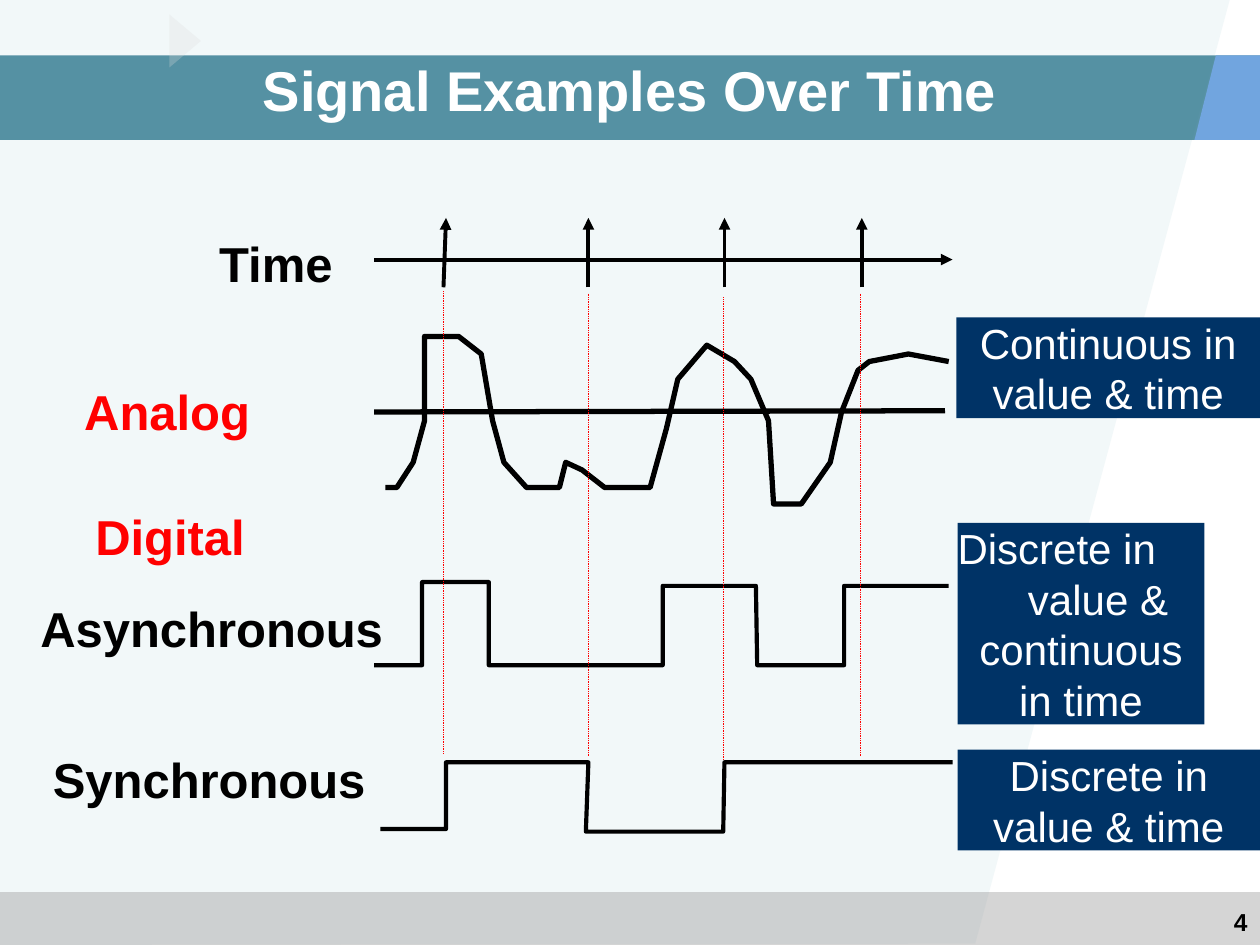
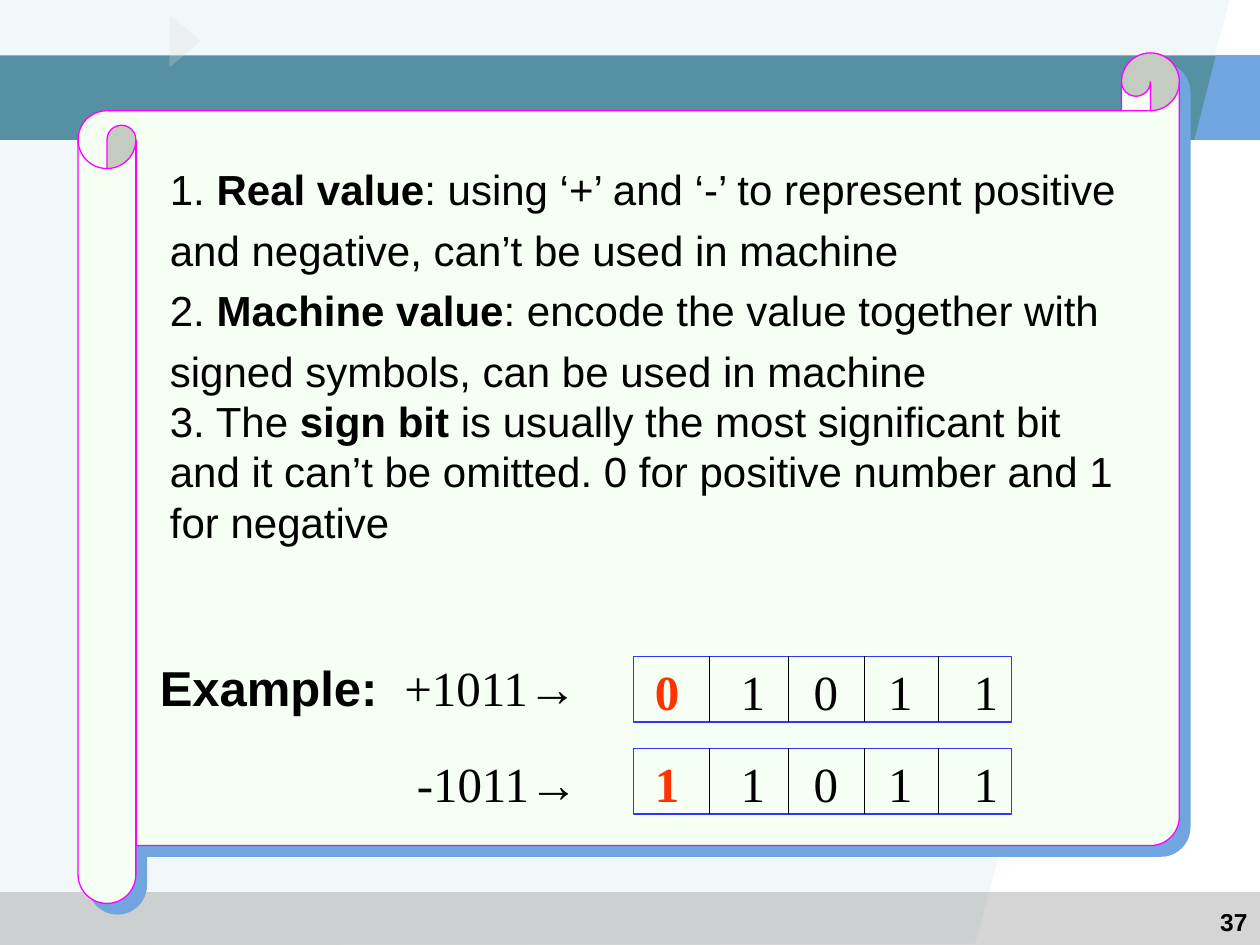
from dataclasses import dataclass

from lxml import etree
from pptx import Presentation
from pptx import util as u
from pptx.dml import color
from pptx.enum import dml, shapes, text
from pptx.oxml import ns

PX = 9144
RECT = shapes.MSO_SHAPE.RECTANGLE
CENTER = text.PP_ALIGN.CENTER


@dataclass(frozen=True)
class Theme:
    sans: str = "Arial"
    serif: str = "Times New Roman"
    black: str = "000000"
    white: str = "FFFFFF"
    red: str = "FF0000"
    sign: str = "FF3300"
    backdrop: str = "9FCAD3"
    footer: str = "969696"
    band: str = "26728A"
    accent: str = "71A5DF"
    marker: str = "DDDDDD"
    note: str = "003366"
    paper: str = "F5FFF3"
    edge: str = "FF00FF"
    frame: str = "3333FF"
    title: int = 32
    label: int = 28
    body: int = 24
    number: int = 14


T = Theme()


def draw(parent, kind, at, fill=None, alpha=None, line=None, width=1, dash=None, arrow=False):
    if kind == "path":
        path = parent.build_freeform(*at[0], scale=PX)
        path.add_line_segments(at[1:], close=fill is not None)
        sp = path.convert_to_shape()
    else:
        box = [v * PX for v in at]
        if kind == "line":
            sp = parent.add_connector(shapes.MSO_CONNECTOR.STRAIGHT, *box)
        elif kind == "text":
            return parent.add_textbox(*box)
        else:
            sp = parent.add_shape(kind, *box)
    if kind != "line":
        sp.shadow.inherit = False
        if fill:
            sp.fill.solid()
            sp.fill.fore_color.rgb = color.RGBColor.from_string(fill)
        else:
            sp.fill.background()
    if alpha:
        tint = sp.element.xpath("./p:spPr/a:solidFill/a:srgbClr")[0]
        etree.SubElement(tint, ns.qn("a:alpha"), val=str(alpha * 1000))
    if line:
        sp.line.color.rgb = color.RGBColor.from_string(line)
        sp.line.width = u.Pt(width)
        if dash:
            sp.line.dash_style = dash
    else:
        sp.line.fill.background()
    if arrow:
        etree.SubElement(sp.element.xpath(".//a:ln")[0], ns.qn("a:tailEnd"), type="triangle")
    if kind == "line":
        etree.SubElement(sp.element.xpath("./p:spPr")[0], ns.qn("a:effectLst"))
    return sp


def write(sp, paras, size, ink=T.black, bold=False, inset=(10, 5), grow=True, **fmt):
    tf = sp.text_frame
    x, y = (v * PX for v in inset)
    frame = {"margin_left": x, "margin_right": x, "margin_top": y, "margin_bottom": y,
             "word_wrap": True,
             "auto_size": text.MSO_AUTO_SIZE.SHAPE_TO_FIT_TEXT if grow else text.MSO_AUTO_SIZE.NONE}
    for key, value in frame.items():
        setattr(tf, key, value)
    for i, para in enumerate(paras):
        p = tf.add_paragraph() if i else tf.paragraphs[0]
        own = {**fmt, **para.get("fmt", {})}
        for key, value in own.items():
            setattr(p, key, value)
        pPr = p._p.get_or_add_pPr()
        if "left" in para:
            pPr.set("marL", str(para["left"] * PX))
            pPr.set("indent", "0")
        if "tabs" in para:
            stops = etree.SubElement(pPr, ns.qn("a:tabLst"))
            for pos in para["tabs"]:
                etree.SubElement(stops, ns.qn("a:tab"), pos=str(pos * PX), algn="l")
        for words, change in para["runs"]:
            r = p.add_run()
            r.text = words
            font = {"size": u.Pt(size), "name": T.sans, "bold": bold, "ink": ink, **change}
            r.font.color.rgb = color.RGBColor.from_string(font.pop("ink"))
            for key, value in font.items():
                setattr(r.font, key, value)


prs = Presentation()
prs.slide_width, prs.slide_height = 1000 * PX, 750 * PX
signals = prs.slides.add_slide(prs.slide_layouts[5])
values = prs.slides.add_slide(prs.slide_layouts[6])

s = signals.shapes
backdrop = [
    draw(s, "path", [(0, 0), (976, 0), (774, 749), (0, 750)], T.backdrop, 13),
    draw(s, RECT, (0, 708, 1000, 42), T.footer, 40),
    draw(s, RECT, (0, 44, 1000, 67), T.band, 77),
    draw(s, "path", [(965, 44), (948, 111), (1000, 111), (1000, 44)], T.accent),
    draw(s, shapes.MSO_SHAPE.ISOSCELES_TRIANGLE, (126, 20, 42, 25), T.marker, 27),
]
backdrop[-1].rotation = 90
for i, sp in enumerate(backdrop):
    sp.element.xpath(".//p:cNvPr")[0].set("id", str(100 + i))
    prs.slide_master.shapes.element.insert(2 + i, sp.element)

for slide, number in ((signals, "4"), (values, "37")):
    write(draw(slide.shapes, "text", (767, 715, 233, 35)), [{"runs": [(number, {})]}],
          T.number, bold=True, grow=False, alignment=text.PP_ALIGN.RIGHT)

title = s.title
for key, value in {"left": 75, "top": 25, "width": 850, "height": 92}.items():
    setattr(title, key, value * PX)
title.text_frame.vertical_anchor = text.MSO_ANCHOR.MIDDLE
write(title, [{"runs": [("Signal Examples Over Time", {})]}], T.title, T.white,
      bold=True, grow=False, alignment=CENTER)

analog = [(306, 387), (315, 387), (328, 367), (337, 334), (337, 267), (364, 267), (382, 281),
          (391, 334), (400, 367), (418, 387), (444, 387), (449, 367), (462, 373), (480, 387),
          (516, 387), (529, 340), (538, 301), (561, 274), (583, 287), (596, 301), (610, 334),
          (614, 400), (636, 400), (659, 367), (668, 327), (681, 294), (690, 287), (721, 281),
          (753, 287)]
asynchronous = [(297, 528), (335, 528), (335, 462), (388, 462), (388, 528), (526, 528), (526, 465),
                (600, 465), (601, 528), (670, 528), (670, 465), (753, 465)]
synchronous = [(302, 658), (354, 658), (354, 605), (467, 605), (465, 660), (574, 660), (575, 605),
               (756, 605)]
chart = s.add_group_shape().shapes
draw(chart, "path", analog, line=T.black, width=3)
draw(chart, "line", (297, 327, 750, 326), line=T.black, width=3)
for wave in (asynchronous, synchronous):
    draw(s, "path", wave, line=T.black, width=2.38)

draw(s, "line", (297, 206, 756, 206), line=T.black, width=2.25, arrow=True)
for foot, tip, guide, top in ((352, 354, 352, 231), (467, 467, 467, 233),
                              (575, 575, 574, 236), (684, 684, 683, 233)):
    draw(s, "line", (foot, 228, tip, 173), line=T.black, width=2.25, arrow=True)
    draw(s, "line", (guide, top, guide, top + 367), line=T.red, width=0.14,
         dash=dml.MSO_LINE.DASH)

for label, at, ink in (("Time", (171, 185, 96, 47), T.black),
                       ("Analog ", (17, 303, 242, 47), T.red),
                       ("Digital", (17, 402, 236, 47), T.red),
                       ("Asynchronous", (25, 475, 286, 47), T.black),
                       ("Synchronous", (7, 595, 318, 47), T.black)):
    write(draw(s, "text", at), [{"runs": [(label, {})]}], T.label, ink, bold=True,
          inset=(0, 0), alignment=CENTER, space_before=u.Pt(7))

notes = [
    ((759, 252, 241, 80), [{"runs": [("Continuous in value & time", {})]}]),
    ((760, 415, 196, 160), [
        {"runs": [("Discrete in", {})], "fmt": {"alignment": text.PP_ALIGN.LEFT}},
        {"runs": [("value &", {})], "left": 27},
        {"runs": [("continuous", {})]},
        {"runs": [("in time", {})]},
    ]),
    ((760, 595, 240, 80), [{"runs": [("Discrete in value & time", {})]}]),
]
for at, paras in notes:
    write(draw(s, RECT, at, T.note), paras, T.body, T.white, inset=(0, 0), alignment=CENTER)

s = values.shapes
scroll = draw(s, shapes.MSO_SHAPE.HORIZONTAL_SCROLL, (62, 42, 874, 675), T.paper,
              line=T.edge, width=0.75)
scroll.adjustments[0] = 0.068
shadow = etree.SubElement(scroll.element.xpath("./p:spPr/a:effectLst")[0], ns.qn("a:outerShdw"),
                          dist=str(u.Pt(8.5)), dir="2700000", algn="ctr", rotWithShape="0")
etree.SubElement(shadow, ns.qn("a:srgbClr"), val=T.accent)

strong = {"bold": True}
loose = {"line_spacing": 1.2}
write(draw(s, "text", (125, 117, 785, 322)), [
    {"fmt": loose, "runs": [
        ("1. ", {}), ("Real value", strong),
        (": using ‘+’ and ‘-’ to represent positive and negative, can’t be used in machine", {})]},
    {"fmt": loose, "runs": [
        ("2. ", {}), ("Machine value", strong),
        (": encode the value together with signed symbols, can be used in machine", {})]},
    {"runs": [
        ("3. The ", {}), ("sign bit ", strong),
        ("is usually the most significant bit and it can’t be omitted. "
         "0 for positive number and 1 for negative", {})]},
], T.body, alignment=text.PP_ALIGN.LEFT)

serif = {"name": T.serif}
examples = [
    ((117, 508, 359, 66), [("Example:\t", strong), ("+1011", serif)], "0", 521),
    ((321, 584, 163, 66), [("-1011", serif)], "1", 594),
]
for at, runs, sign, top in examples:
    write(draw(s, "text", at), [{"runs": runs + [("→", {})], "tabs": [194]}], T.label,
          alignment=text.PP_ALIGN.LEFT, **loose)
    cells = s.add_group_shape().shapes
    draw(cells, RECT, (503, top, 300, 52), line=T.frame, width=0.75)
    write(draw(cells, "text", (510, top - 1, 300, 57)),
          [{"runs": [(sign, {**serif, **strong, "ink": T.sign}), ("\t1\t0\t1\t1", serif)],
            "tabs": [68, 126, 185, 253]}], T.label, alignment=text.PP_ALIGN.LEFT)
    for x in (563, 626, 686, 745):
        draw(cells, "line", (x, top, x, top + 52), line=T.black, width=0.75)

prs.save("out.pptx")
